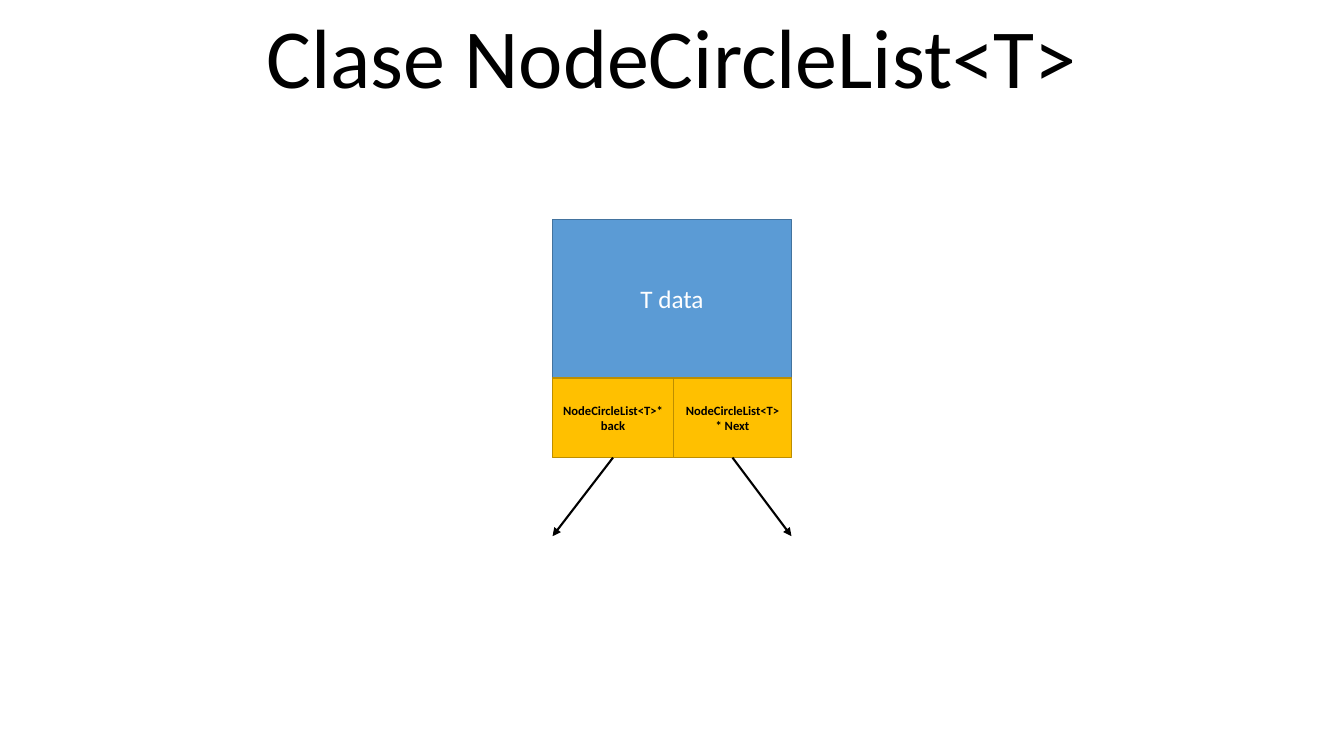
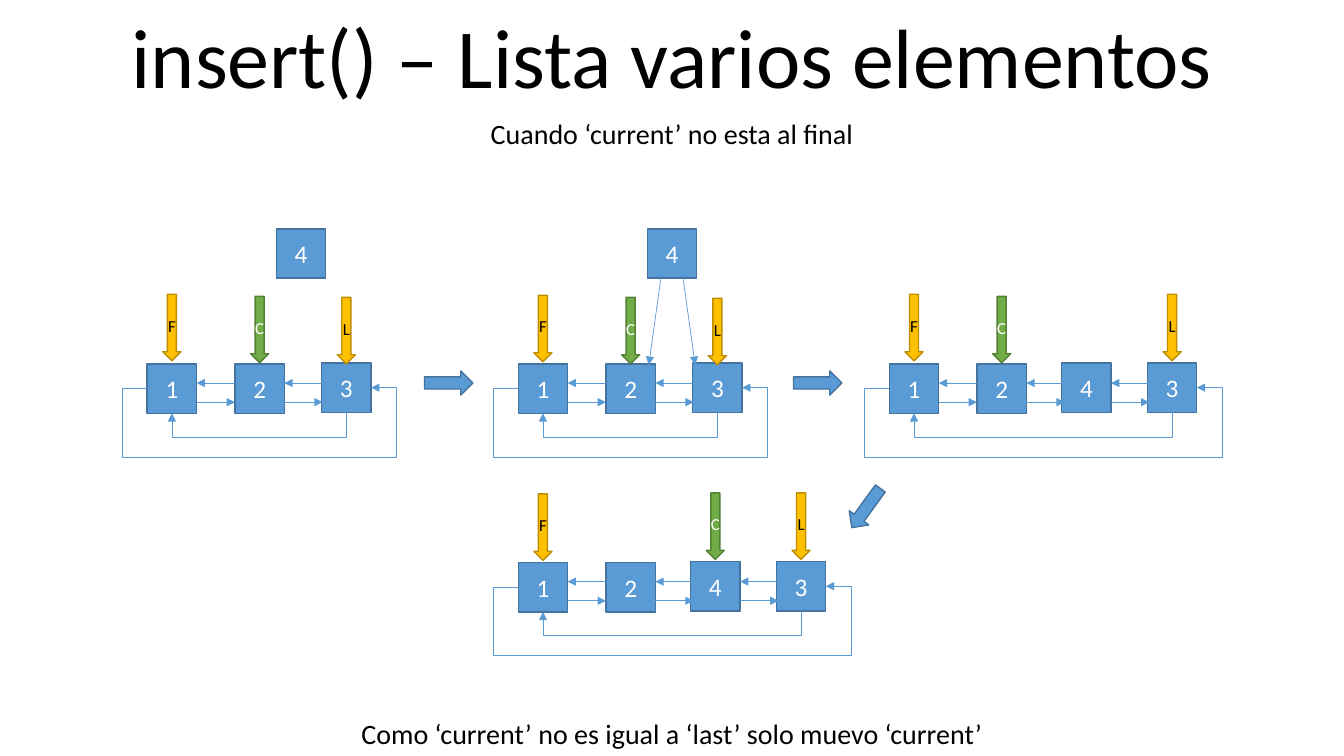
from lxml.etree import SubElement
from pptx import Presentation
from pptx.dml.color import RGBColor
from pptx.enum.shapes import MSO_CONNECTOR as Link, MSO_SHAPE as Shape
from pptx.enum.text import MSO_AUTO_SIZE as AutoSize, PP_ALIGN as Align
from pptx.oxml.ns import qn
from pptx.util import Inches, Pt

FONT = "Calibri"
COLORS = {
    "blue": "5B9BD5", "blue_edge": "43739E",
    "gold": "FFC000", "gold_edge": "BD8E00",
    "green": "70AD47", "green_edge": "538035",
    "black": "000000", "white": "FFFFFF",
}

# Content
CLASS_TITLE = "Clase NodeCircleList<T>"
DATA_FIELD = "T data"
# text, left, width, horizontal end of the arrow
POINTER_FIELDS = [
    ("NodeCircleList<T>* back", 5.48, 1.2, 5.48),
    ("NodeCircleList<T>* Next", 6.68, 1.17, 7.85),
]
INSERT_TITLE = "insert() – Lista varios elementos"
INSERT_CASE = "Cuando ‘current’ no esta al final"
INSERT_RESULT = "Como ‘current’ no es igual a ‘last’ solo muevo ‘current’"
# pointers: letter -> (node it points at, height of its top above the row)
STATES = [
    {"left": 1.46, "top": 3.61, "nodes": "123", "fresh": "4", "linked": False,
     "pointers": {"F": ("1", 0.69), "C": ("2", 0.67), "L": ("3", 0.66)}},
    {"left": 5.14, "top": 3.61, "nodes": "123", "fresh": "4", "linked": True,
     "pointers": {"F": ("1", 0.68), "C": ("2", 0.66), "L": ("3", 0.65)}},
    {"left": 8.82, "top": 3.61, "nodes": "1243", "fresh": "", "linked": False,
     "pointers": {"F": ("1", 0.69), "C": ("2", 0.67), "L": ("3", 0.69)}},
    {"left": 5.14, "top": 5.58, "nodes": "1243", "fresh": "", "linked": False,
     "pointers": {"F": ("1", 0.68), "C": ("4", 0.69), "L": ("3", 0.69)}},
]
STEP_ARROWS = [(4.21, 3.68, 0), (7.87, 3.68, 0), (8.35, 4.92, 126)]

# Geometry of a list, in inches
NODE = 0.49
OFFSETS = {3: (0, 0.87, 1.73), 4: (0, 0.87, 1.71, 2.56)}
RISE = 0.01          # nodes from the third on sit slightly higher
GAP = 0.38
BACK_Y, NEXT_Y = 0.19, 0.38
LOOP_SIDE, INNER_DROP, OUTER_DROP = 0.25, 0.25, 0.69


def rgb(name):
    return RGBColor.from_string(COLORS[name])


def write(frame, text, size, color, bold=False):
    frame.word_wrap = True
    frame.text = text
    para = frame.paragraphs[0]
    para.alignment = Align.CENTER
    font = para.runs[0].font
    font.name, font.size, font.bold = FONT, Pt(size), bold
    font.color.rgb = rgb(color)


def add_text(page, text, top, height, size):
    box = page.shapes.add_textbox(Inches(0), Inches(top), Inches(13.33), Inches(height))
    write(box.text_frame, text, size, "black")
    box.text_frame.auto_size = AutoSize.SHAPE_TO_FIT_TEXT


def add_title(page, text):
    add_text(page, text, 0, 1.11, 60)


def add_block(page, kind, left, top, width, height, fill,
              text="", size=18, color="white", bold=False):
    block = page.shapes.add_shape(kind, Inches(left), Inches(top),
                                  Inches(width), Inches(height))
    block.shadow.inherit = False
    block.fill.solid()
    block.fill.fore_color.rgb = rgb(fill)
    block.line.color.rgb = rgb(fill + "_edge")
    block.line.width = Pt(1)
    if text:
        write(block.text_frame, text, size, color, bold)
    return block


def add_arrow(page, start, end, color="blue", width=0.5, kind=Link.STRAIGHT):
    arrow = page.shapes.add_connector(kind, *(Inches(v) for v in (*start, *end)))
    arrow.line.color.rgb = rgb(color)
    arrow.line.width = Pt(width)
    SubElement(arrow.line._get_or_add_ln(), qn("a:tailEnd"), type="triangle")
    SubElement(arrow._element.spPr, qn("a:effectLst"))
    return arrow


def add_loop(page, first, last, sides, frame, turn, preset, bends):
    """Bent arrow between two nodes; bends are fractions of the frame."""
    loop = add_arrow(page, (0, 0), (1, 1), kind=Link.ELBOW)
    loop.begin_connect(first, sides[0])
    loop.end_connect(last, sides[1])
    loop.left, loop.top, loop.width, loop.height = (Inches(v) for v in frame)
    xfrm = loop._element.spPr.find(qn("a:xfrm"))
    for key in ("flipH", "flipV"):
        xfrm.attrib.pop(key, None)
    for key, value in turn.items():
        xfrm.set(key, value)
    geometry = loop._element.spPr.find(qn("a:prstGeom"))
    geometry.set("prst", preset)
    guides = geometry.find(qn("a:avLst"))
    if guides is None:
        guides = SubElement(geometry, qn("a:avLst"))
    for number, bend in enumerate(bends, 1):
        SubElement(guides, qn("a:gd"), name=f"adj{number}",
                   fmla=f"val {round(bend * 100000)}")


def add_list(page, state):
    left, top, labels = state["left"], state["top"], state["nodes"]
    spots = {label: (left + offset, top - (RISE if i > 1 else 0))
             for i, (label, offset) in enumerate(zip(labels, OFFSETS[len(labels)]))}
    nodes = {label: add_block(page, Shape.RECTANGLE, x, y, NODE, NODE, "blue", label)
             for label, (x, y) in spots.items()}

    # Pointers to first, current and last
    for letter, (label, lift) in state["pointers"].items():
        current = letter == "C"
        add_block(page, Shape.DOWN_ARROW, spots[label][0] + 0.155, top - lift, 0.18, 0.66,
                  "green" if current else "gold", letter, 12,
                  "white" if current else "black")

    # Links between neighbours
    for label in labels[:-1]:
        near = spots[label][0] + NODE
        far = near + GAP
        add_arrow(page, (far, top + BACK_Y), (near, top + BACK_Y))
        add_arrow(page, (near, top + NEXT_Y), (far, top + NEXT_Y))

    # Loops that close the circle
    first, last = nodes[labels[0]], nodes[labels[-1]]
    span = spots[labels[-1]][0] - left
    add_loop(page, last, first, (2, 2),
             (left + (NODE + span - RISE) / 2, top + NODE - (RISE + span) / 2, RISE, span),
             {"rot": "5400000"}, "bentConnector3", [INNER_DROP / RISE])
    width = span + NODE
    side = LOOP_SIDE / width
    add_loop(page, first, last, (1, 3),
             (left, top + NODE / 2 - RISE, width, RISE),
             {"rot": "10800000", "flipH": "1"}, "bentConnector5",
             [-side, -OUTER_DROP / RISE, 1 + side])

    # Node waiting to be inserted
    if state["fresh"]:
        x, y = left + 1.28, top - 1.34
        add_block(page, Shape.RECTANGLE, x, y, NODE, NODE, "blue", state["fresh"])
        if state["linked"]:
            middle = x + NODE / 2
            for sign in (-1, 1):
                add_arrow(page, (middle + sign * 0.11, y + NODE),
                          (middle + sign * 0.23, top + 0.01))


def build_class_page(page):
    add_title(page, CLASS_TITLE)
    add_block(page, Shape.RECTANGLE, 5.48, 2.18, 2.37, 1.57, "blue", DATA_FIELD)
    for text, left, width, tip in POINTER_FIELDS:
        field = add_block(page, Shape.RECTANGLE, left, 3.75, width, 0.79, "gold",
                          text, 9, "black", True)
        arrow = add_arrow(page, (left + width / 2, 4.54), (tip, 5.32), "black", 1.5)
        arrow.begin_connect(field, 2)


def build_insert_page(page):
    add_title(page, INSERT_TITLE)
    add_text(page, INSERT_CASE, 1.11, 0.44, 20)
    for state in STATES:
        add_list(page, state)
    for left, top, angle in STEP_ARROWS:
        step = add_block(page, Shape.RIGHT_ARROW, left, top, 0.48, 0.24, "blue")
        step.rotation = angle
    add_text(page, INSERT_RESULT, 7.06, 0.44, 20)


def main():
    deck = Presentation()
    deck.slide_width, deck.slide_height = Inches(13.33), Inches(7.5)
    for build in (build_class_page, build_insert_page):
        build(deck.slides.add_slide(deck.slide_layouts[6]))
    deck.save("out.pptx")


if __name__ == "__main__":
    main()
